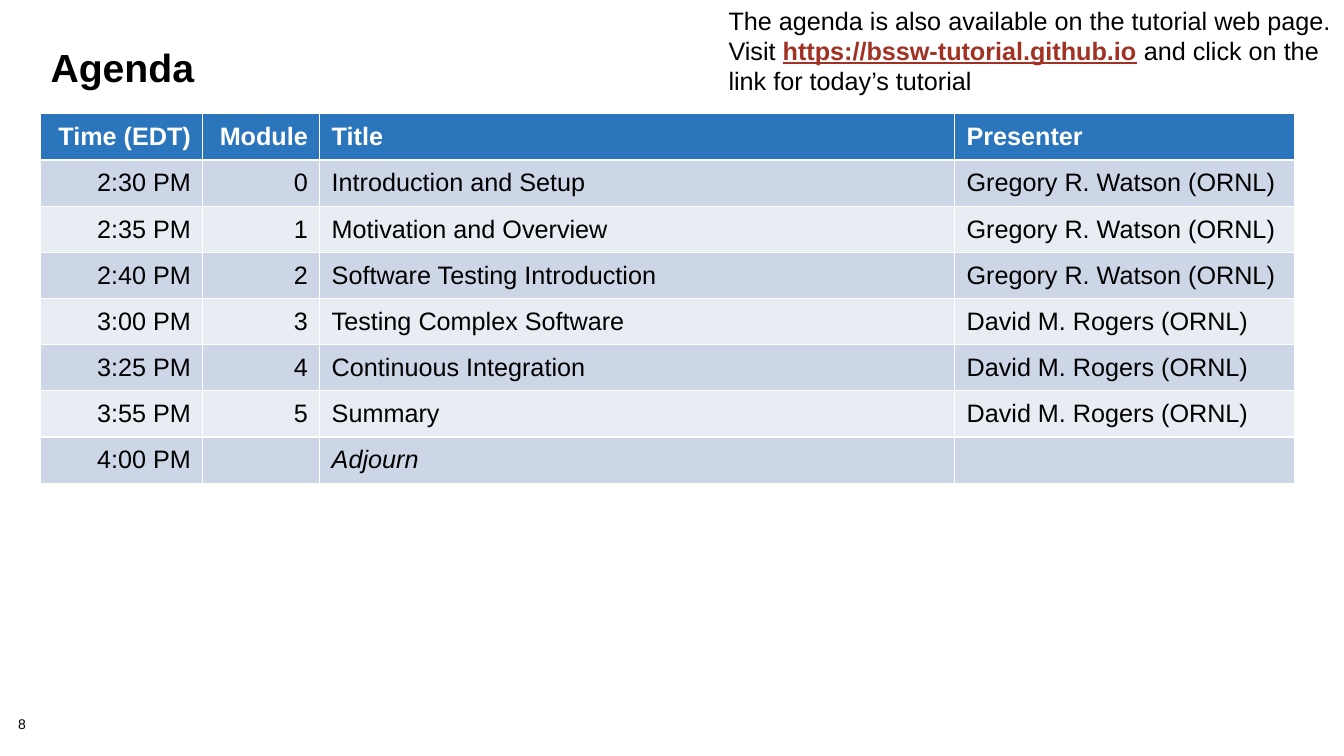
from dataclasses import dataclass

from pptx import Presentation
from pptx.dml.color import RGBColor
from pptx.enum.text import MSO_ANCHOR as Anchor, MSO_AUTO_SIZE as AutoSize, PP_ALIGN as Align
from pptx.util import Cm, Pt

FONT = "Arial"
COLORS = {
    "text": "000000",
    "header_text": "FFFFFF",
    "link": "A03123",
    "header": "2A75BB",
    "odd_row": "CDD6E7",
    "even_row": "E8ECF3",
}


@dataclass(frozen=True)
class Column:
    heading: str
    width: float
    align: Align


@dataclass(frozen=True)
class Session:
    time: str
    module: str
    title: str
    presenter: str = ""
    italic: bool = False


COLUMNS = [
    Column("Time (EDT)", 4.09, Align.RIGHT),
    Column("Module", 2.95, Align.RIGHT),
    Column("Title", 16, Align.LEFT),
    Column("Presenter", 8.56, Align.LEFT),
]
WATSON = "Gregory R. Watson (ORNL)"
ROGERS = "David M. Rogers (ORNL)"
SESSIONS = [
    Session("2:30 PM", "0", "Introduction and Setup", WATSON),
    Session("2:35 PM", "1", "Motivation and Overview", WATSON),
    Session("2:40 PM", "2", "Software Testing Introduction", WATSON),
    Session("3:00 PM", "3", "Testing Complex Software", ROGERS),
    Session("3:25 PM", "4", "Continuous Integration", ROGERS),
    Session("3:55 PM", "5", "Summary", ROGERS),
    Session("4:00 PM", "", "Adjourn", italic=True),
]
ROW_HEIGHT = 1.13


def add_text(paragraph, text: str, *, size: float = 18, color: str = "text", bold: bool = False,
             italic: bool = False, underline: bool = False, align: Align = Align.LEFT) -> None:
    paragraph.alignment = align
    run = paragraph.add_run()
    run.text = text
    font = run.font
    font.name, font.size = FONT, Pt(size)
    font.bold, font.italic, font.underline = bold, italic, underline
    font.color.rgb = RGBColor.from_string(COLORS[color])


def add_title(slide, text: str) -> None:
    title = slide.shapes.title
    title.left, title.top, title.width, title.height = Cm(1.02), Cm(1.14), Cm(31.6), Cm(2.54)
    frame = title.text_frame
    frame.auto_size = AutoSize.NONE
    frame.vertical_anchor = Anchor.TOP
    frame.paragraphs[0].line_spacing = 0.85
    add_text(frame.paragraphs[0], text, size=28, bold=True)


def fill_cell(cell, text: str, fill: str, **text_format) -> None:
    cell.fill.solid()
    cell.fill.fore_color.rgb = RGBColor.from_string(COLORS[fill])
    cell.vertical_anchor = Anchor.MIDDLE
    cell.margin_left = cell.margin_right = Cm(0.3)
    cell.margin_top = cell.margin_bottom = Cm(0.2)
    if text:
        add_text(cell.text_frame.paragraphs[0], text, **text_format)


def add_agenda(slide) -> None:
    row_count = len(SESSIONS) + 1
    agenda = slide.shapes.add_table(
        row_count, len(COLUMNS), Cm(1.02), Cm(2.87),
        Cm(sum(column.width for column in COLUMNS)), Cm(ROW_HEIGHT * row_count)).table
    for row in agenda.rows:
        row.height = Cm(ROW_HEIGHT)

    for c, column in enumerate(COLUMNS):
        agenda.columns[c].width = Cm(column.width)
        fill_cell(agenda.cell(0, c), column.heading, "header",
                  color="header_text", bold=True, align=column.align)

    for r, session in enumerate(SESSIONS, start=1):
        band = "odd_row" if r % 2 else "even_row"
        entries = (session.time, session.module, session.title, session.presenter)
        for c, (entry, column) in enumerate(zip(entries, COLUMNS)):
            fill_cell(agenda.cell(r, c), entry, band, align=column.align,
                      italic=session.italic and column.heading == "Title")


def add_web_note(slide) -> None:
    note = slide.shapes.add_textbox(Cm(18.11), Cm(0), Cm(15.75), Cm(2.57)).text_frame
    note.word_wrap = True
    note.auto_size = AutoSize.SHAPE_TO_FIT_TEXT
    paragraph = note.paragraphs[0]
    add_text(paragraph, "The agenda is also available on the tutorial web page. Visit ")
    add_text(paragraph, "https://bssw-tutorial.github.io", color="link", bold=True, underline=True)
    add_text(paragraph, " and click on the link for today’s tutorial")


def add_page_number(slide, number: str) -> None:
    frame = slide.shapes.add_textbox(Cm(0.46), Cm(18.08), Cm(1.42), Cm(0.41)).text_frame
    frame.margin_left = frame.margin_right = frame.margin_top = frame.margin_bottom = 0
    frame.word_wrap = True
    frame.paragraphs[0].line_spacing = 0.9
    add_text(frame.paragraphs[0], number, size=10)


def main() -> None:
    deck = Presentation()
    deck.slide_width, deck.slide_height = Cm(33.87), Cm(19.05)
    slide = deck.slides.add_slide(deck.slide_layouts.get_by_name("Title Only"))

    # Page furniture
    add_page_number(slide, "8")
    add_title(slide, "Agenda")

    # Schedule and where to find it
    add_agenda(slide)
    add_web_note(slide)

    deck.save("out.pptx")


if __name__ == "__main__":
    main()
